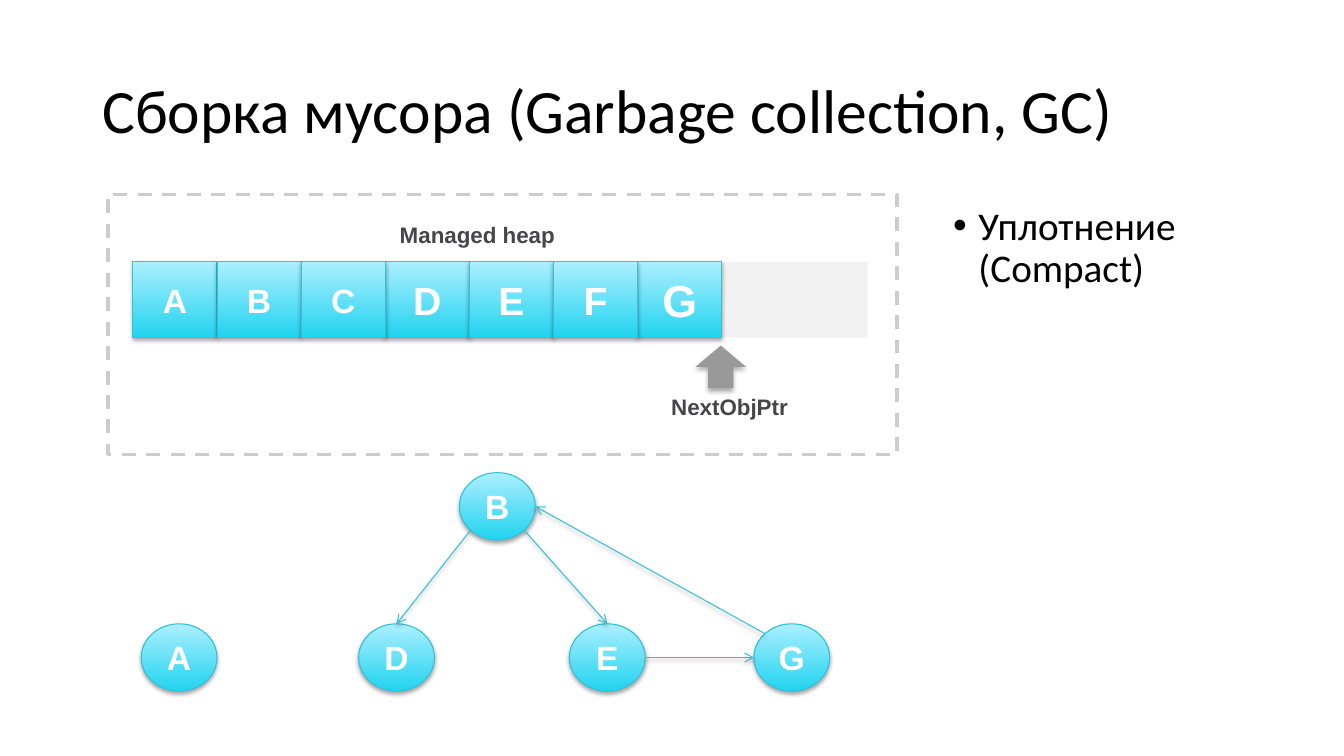
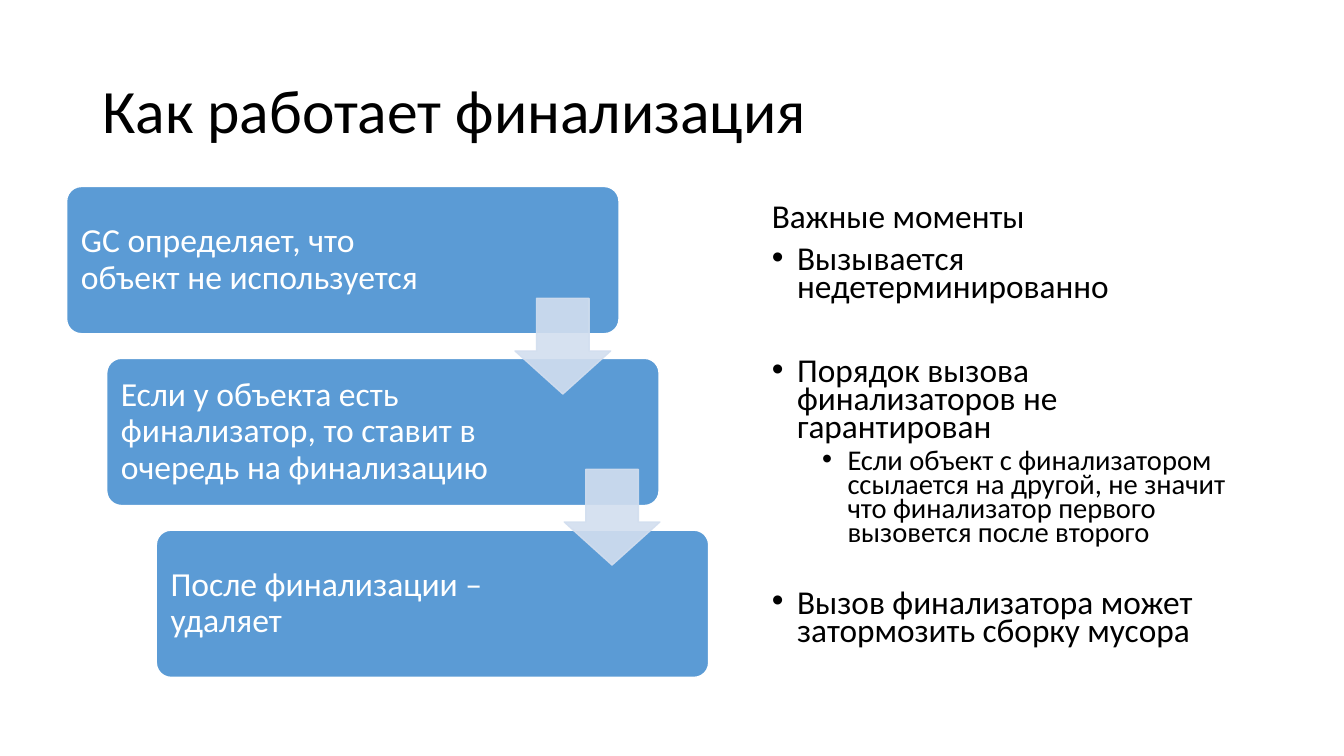
import math
from dataclasses import dataclass

import lxml.etree
import pptx
import pptx.dml.color
import pptx.enum.dml
import pptx.enum.shapes
import pptx.enum.text
import pptx.oxml.ns
import pptx.util

Cm = pptx.util.Cm
Pt = pptx.util.Pt
SHAPE = pptx.enum.shapes.MSO_SHAPE
ALIGN = pptx.enum.text.PP_ALIGN
ANCHOR = pptx.enum.text.MSO_ANCHOR
qn = pptx.oxml.ns.qn


@dataclass(frozen=True)
class Theme:
    body_font: str = "Calibri"
    label_font: str = "Arial"
    black: str = "000000"
    white: str = "FFFFFF"
    label: str = "464547"
    frame: str = "CCCCCC"
    free: str = "F2F2F2"
    pointer: str = "999999"
    cell_dark: str = "21D3EF"
    cell_light: str = "ACEFFF"
    cell_line: str = "34C1D6"
    step: str = "5B9BD5"
    step_arrow: str = "D2DEEF"
    title_size: float = 44
    body_size: float = 28
    note_size: float = 23.8
    subnote_size: float = 20.4
    step_size: float = 24
    label_size: float = 16
    node_size: float = 24


def rgb(color):
    return pptx.dml.color.RGBColor.from_string(color)


def add_xml(parent, tag, **attrs):
    return lxml.etree.SubElement(parent, qn(tag), {k: str(v) for k, v in attrs.items()})


class Deck:
    def __init__(self, theme):
        self.theme = theme
        self.prs = pptx.Presentation()
        self.prs.slide_width = Cm(33.87)
        self.prs.slide_height = Cm(19.05)
        self.s = None

    def slide(self, title):
        self.s = self.prs.slides.add_slide(self.prs.slide_layouts[6])
        tf = self.frame(2.33, 1.02, 29.21, 3.68)
        tf.vertical_anchor = ANCHOR.MIDDLE
        p = self.run(tf.paragraphs[0], title, self.theme.title_size)
        p.line_spacing = 0.9

    def frame(self, x, y, w, h):
        tf = self.s.shapes.add_textbox(Cm(x), Cm(y), Cm(w), Cm(h)).text_frame
        tf.word_wrap = True
        return tf

    def run(self, p, text, size, color=None, font=None, bold=False):
        r = p.add_run()
        r.text = text
        r.font.size = Pt(size)
        r.font.name = font or self.theme.body_font
        r.font.bold = bold
        r.font.color.rgb = rgb(color or self.theme.black)
        return p

    def label(self, x, y, w, text):
        p = self.frame(x, y, w, 0.94).paragraphs[0]
        p.alignment = ALIGN.CENTER
        self.run(p, text, self.theme.label_size, self.theme.label, self.theme.label_font, True)

    def bullets(self, x, y, w, h, items, spacing):
        tf = self.frame(x, y, w, h)
        for i, (text, size, level, before) in enumerate(items):
            p = tf.paragraphs[0] if i == 0 else tf.add_paragraph()
            self.run(p, text, size)
            p.line_spacing = spacing
            p.space_before = Pt(before)
            if level is None:
                continue
            p.level = level
            pPr = p._p.get_or_add_pPr()
            pPr.set("marL", str(Cm(0.64 + 1.27 * level)))
            pPr.set("indent", str(-Cm(0.64)))
            add_xml(pPr, "a:buFont", typeface=self.theme.label_font)
            add_xml(pPr, "a:buChar", char="•")

    def shape(self, kind, x, y, w, h, fill, line=None, width=1, adj=()):
        sp = self.s.shapes.add_shape(kind, Cm(x), Cm(y), Cm(w), Cm(h))
        sp.fill.solid()
        sp.fill.fore_color.rgb = rgb(fill)
        if line:
            sp.line.color.rgb = rgb(line)
            sp.line.width = Pt(width)
        else:
            sp.line.fill.background()
        sp.shadow.inherit = False
        for i, value in enumerate(adj):
            sp.adjustments[i] = value
        return sp

    def shadow(self, spPr, blur=3.1, dist=1.8, alpha=35):
        effects = spPr.find(qn("a:effectLst"))
        if effects is None:
            effects = add_xml(spPr, "a:effectLst")
        shade = add_xml(effects, "a:outerShdw", blurRad=Pt(blur), dist=Pt(dist),
                        dir=90 * 60000, rotWithShape=0)
        color = add_xml(shade, "a:srgbClr", val=self.theme.black)
        add_xml(color, "a:alpha", val=alpha * 1000)

    def cell(self, kind, x, y, w, h, text, size):
        t = self.theme
        sp = self.shape(kind, x, y, w, h, t.cell_dark, t.cell_line, 0.75)
        sp.fill.gradient()
        sp.fill.gradient_angle = 90
        for stop, position, color in zip(sp.fill.gradient_stops, (0, 1), (t.cell_dark, t.cell_light)):
            stop.position = position
            stop.color.rgb = rgb(color)
        self.shadow(sp._element.spPr)
        tf = sp.text_frame
        tf.vertical_anchor = ANCHOR.MIDDLE
        p = tf.paragraphs[0]
        p.alignment = ALIGN.CENTER
        self.run(p, text, size, t.white, t.label_font, True)
        return sp

    def node(self, x, y, text):
        return self.cell(SHAPE.FLOWCHART_CONNECTOR, x, y, 1.91, 1.7, text, self.theme.node_size)

    def rim(self, sp, degrees):
        a = math.radians(degrees)
        return (int(sp.left + sp.width / 2 * (1 + math.cos(a))),
                int(sp.top + sp.height / 2 * (1 + math.sin(a))))

    def arrow(self, source, source_angle, target, target_angle):
        c = self.s.shapes.add_connector(
            pptx.enum.shapes.MSO_CONNECTOR.STRAIGHT,
            *self.rim(source, source_angle), *self.rim(target, target_angle))
        c.line.color.rgb = rgb(self.theme.cell_line)
        c.line.width = Pt(0.75)
        spPr = c._element.spPr
        add_xml(spPr.find(qn("a:ln")), "a:tailEnd", type="arrow")
        self.shadow(spPr)

    def step(self, x, y, text):
        t = self.theme
        sp = self.shape(SHAPE.ROUNDED_RECTANGLE, x, y, 13.92, 3.71, t.step, t.white, adj=(0.1,))
        tf = sp.text_frame
        tf.word_wrap = True
        tf.vertical_anchor = ANCHOR.MIDDLE
        tf.margin_left = tf.margin_top = tf.margin_bottom = Cm(0.25)
        tf.margin_right = Cm(3.9)
        p = self.run(tf.paragraphs[0], text, t.step_size, t.white)
        p.alignment = ALIGN.LEFT
        p.line_spacing = 0.9

    def step_arrow(self, x, y):
        color = self.theme.step_arrow
        sp = self.shape(SHAPE.DOWN_ARROW, x, y, 2.41, 2.41, color, color, adj=(0.55, 0.45))
        for clr in sp._element.spPr.iter(qn("a:srgbClr")):
            add_xml(clr, "a:alpha", val=90000)


def heap_slide(d):
    t = d.theme
    d.slide("Сборка мусора (Garbage collection, GC)")
    d.bullets(23.77, 5.08, 7.09, 12.09, [("Уплотнение (Compact)", t.body_size, 0, 10)], 0.9)
    heap = d.shape(SHAPE.RECTANGLE, 2.72, 4.9, 19.89, 6.55, t.white, t.frame, 2.5)
    heap.line.dash_style = pptx.enum.dml.MSO_LINE.DASH
    top, height, pitch = 6.6, 1.91, 2.12
    d.shape(SHAPE.RECTANGLE, 5.51, top, 16.36, height, t.free)
    d.label(8.64, 5.46, 6.78, "Managed heap")
    objects = [(0, "A", 24), (1, "B", 24), (3, "D", 28), (4, "E", 28),
               (6, "G", 32), (2, "С", 24), (5, "F", 28)]
    for column, name, size in objects:
        d.cell(SHAPE.RECTANGLE, 3.35 + column * pitch, top, pitch, height, name, size)
    d.label(16.48, 9.78, 3.81, "NextObjPtr")
    pointer = d.shape(SHAPE.UP_ARROW, 17.53, 8.71, 1.27, 1.07, t.pointer)
    d.shadow(pointer._element.spPr, 3.5, 2.2, 32)

    lefts = {"A": 3.56, "D": 9.04, "E": 14.35, "G": 19}
    nodes = {name: d.node(x, 15.72, name) for name, x in lefts.items()}
    nodes["B"] = d.node(11.58, 11.91, "B")
    for source, out, target, into in [("B", 135, "D", 270), ("B", 45, "E", 270),
                                      ("E", 0, "G", 180), ("G", 225, "B", 0)]:
        d.arrow(nodes[source], out, nodes[target], into)


def finalization_slide(d):
    t = d.theme
    d.slide("Как работает финализация")
    d.bullets(19.2, 5.08, 12.34, 12.09, [
        ("Важные моменты", t.note_size, None, 10),
        ("Вызывается недетерминированно", t.note_size, 0, 10),
        ("Порядок вызова финализаторов не гарантирован", t.note_size, 0, 40),
        ("Если объект с финализатором ссылается на другой, не значит что "
         "финализатор первого вызовется после второго", t.subnote_size, 1, 5),
        ("Вызов финализатора может затормозить сборку мусора", t.note_size, 0, 32),
    ], 0.7)
    steps = [(1.68, "GC определяет, что объект не используется"),
             (2.69, "Если у объекта есть финализатор, то ставит в очередь на финализацию"),
             (3.94, "После финализации – удаляет")]
    for i, (x, text) in enumerate(steps):
        d.step(x, 4.7 + i * 4.33, text)
    for i, x in enumerate((12.98, 14.22)):
        d.step_arrow(x, 7.52 + i * 4.31)


def main():
    d = Deck(Theme())
    heap_slide(d)
    finalization_slide(d)
    d.prs.save("out.pptx")


if __name__ == "__main__":
    main()
